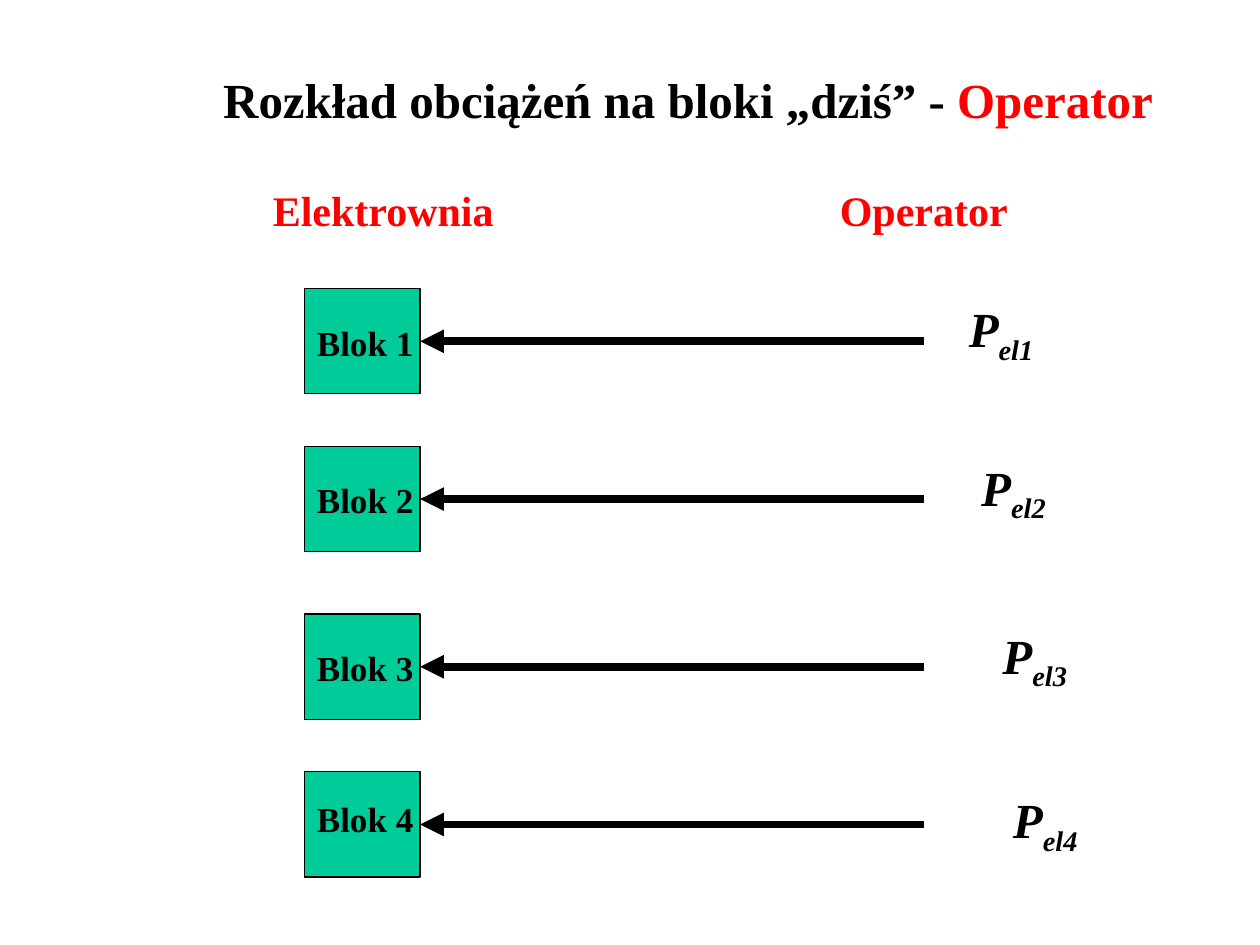
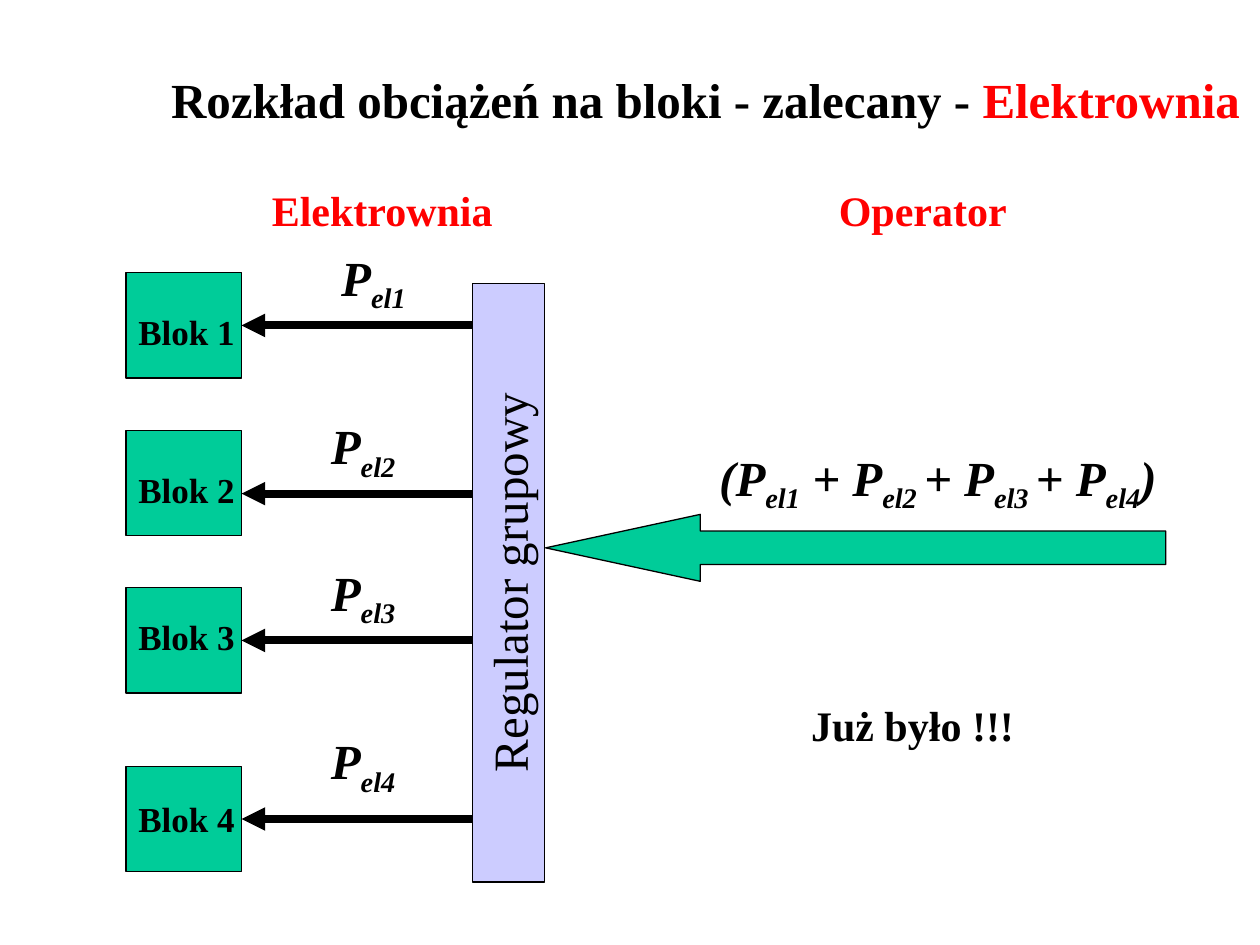
"""Build two slides on how load is shared among power plant units."""
from dataclasses import dataclass

from lxml.etree import SubElement
from pptx import Presentation
from pptx.dml.color import RGBColor
from pptx.enum.shapes import MSO_CONNECTOR as Connector, MSO_SHAPE as Shape
from pptx.enum.text import MSO_ANCHOR as Anchor, MSO_AUTO_SIZE as AutoSize, PP_ALIGN as Align
from pptx.oxml.ns import qn
from pptx.util import Cm, Pt


@dataclass(frozen=True)
class Theme:
    font: str = "Times New Roman"
    ink: str = "000000"
    accent: str = "FF0000"
    block: str = "00CC99"
    regulator: str = "CCCCFF"
    title_size: int = 28
    heading_size: int = 24
    label_size: int = 20
    outline: float = 0.75
    arrow: float = 4.5


class SlideBuilder:
    def __init__(self, presentation, theme):
        self.presentation = presentation
        self.theme = theme
        self.slide = None

    def new_slide(self):
        self.slide = self.presentation.slides.add_slide(self.presentation.slide_layouts[6])

    def add_run(self, paragraph, text, size, color=None, baseline=0, **formats):
        run = paragraph.add_run()
        run.text = text
        for name, value in {"name": self.theme.font, "size": Pt(size), "bold": True, **formats}.items():
            setattr(run.font, name, value)
        run.font.color.rgb = RGBColor.from_string(color or self.theme.ink)
        if baseline:
            run.font._element.set("baseline", str(baseline))

    def text(self, left, top, width, height, size, *runs):
        box = self.slide.shapes.add_textbox(Cm(left), Cm(top), Cm(width), Cm(height))
        frame = box.text_frame
        for name, value in {"word_wrap": False, "auto_size": AutoSize.SHAPE_TO_FIT_TEXT}.items():
            setattr(frame, name, value)
        for text, formats in runs:
            self.add_run(frame.paragraphs[0], text, size, **formats)

    def title(self, left, width, subject, party):
        self.text(left, 1.27, width, 1.45, self.theme.title_size,
                  (subject, {}), (party, {"color": self.theme.accent}))

    def headings(self, left):
        for offset, width, party in ((0, 4.98, "Elektrownia"), (11.43, 3.89, "Operator")):
            self.text(left + offset, 3.6, width, 1.27, self.theme.heading_size,
                      (party, {"color": self.theme.accent}))

    def formula(self, left, top, width, *parts):
        runs = [(part, {"italic": True, "baseline": -25000 * (index % 2)})
                for index, part in enumerate(parts)]
        self.text(left, top, width, 1.6, self.theme.title_size, *runs)

    def shape(self, kind, left, top, width, height, fill):
        shape = self.slide.shapes.add_shape(kind, Cm(left), Cm(top), Cm(width), Cm(height))
        shape.shadow.inherit = False
        shape.fill.solid()
        shape.fill.fore_color.rgb = RGBColor.from_string(fill)
        shape.line.color.rgb = RGBColor.from_string(self.theme.ink)
        shape.line.width = Pt(self.theme.outline)
        return shape

    def arrow(self, block, start, drop=0):
        middle = block.top + block.height // 2 + Cm(drop)
        connector = self.slide.shapes.add_connector(
            Connector.STRAIGHT, block.left + block.width, middle, Cm(start), middle)
        if not drop:
            connector.begin_connect(block, 3)
        connector.line.color.rgb = RGBColor.from_string(self.theme.ink)
        connector.line.width = Pt(self.theme.arrow)
        SubElement(connector.line._get_or_add_ln(), qn("a:headEnd"), type="triangle")
        SubElement(connector._element.spPr, qn("a:effectLst"))

    def unit(self, number, left, top, label_top, start, power_left, power_top, drop=0):
        block = self.shape(Shape.RECTANGLE, left, top, 2.33, 2.12, self.theme.block)
        self.arrow(block, start, drop)
        self.formula(power_left, power_top, 1.85, "P", f"el{number}")
        self.text(left, label_top, 2.48, 1.11, self.theme.label_size, (f"Blok {number}", {}))

    def regulator(self, left, top, length, thickness, text):
        shape = self.shape(Shape.RECTANGLE, left + (thickness - length) / 2,
                           top + (length - thickness) / 2, length, thickness, self.theme.regulator)
        shape.rotation = 270
        frame = shape.text_frame
        for name, value in {"word_wrap": True, "vertical_anchor": Anchor.TOP}.items():
            setattr(frame, name, value)
        paragraph = frame.paragraphs[0]
        paragraph.alignment = Align.CENTER
        self.add_run(paragraph, text, self.theme.title_size, bold=False)

    def wide_arrow(self, left, top, width, height):
        shape = self.shape(Shape.LEFT_ARROW, left, top, width, height, self.theme.block)
        shape.adjustments[0] = 0.5
        shape.adjustments[1] = 2.31


def operator_slide(builder):
    builder.new_slide()
    builder.title(4.25, 19.25, "Rozkład obciążeń na bloki „dziś” - ", "Operator")
    builder.headings(5.25)
    units = ((5.82, 6.35, 19.28, 5.9), (9.0, 9.53, 19.53, 9.09),
             (12.38, 12.91, 19.96, 12.49), (15.56, 15.96, 20.17, 15.8))
    for number, (top, label_top, power_left, power_top) in enumerate(units, 1):
        builder.unit(number, 6.14, top, label_top, 18.63, power_left, power_top)


def plant_slide(builder):
    builder.new_slide()
    builder.title(3.2, 22.07, "Rozkład obciążeń na bloki - zalecany - ", "Elektrownia")
    builder.headings(5.23)
    units = ((5.5, 6.14, 6.63, 4.87, 0), (8.68, 9.31, 6.42, 8.26, 0.21),
             (11.85, 12.28, 6.42, 11.22, 0), (15.45, 15.96, 6.42, 14.61, 0))
    for number, (top, label_top, power_left, power_top, drop) in enumerate(units, 1):
        builder.unit(number, 2.54, top, label_top, 9.53, power_left, power_top, drop)
    builder.regulator(9.53, 5.71, 12.07, 1.45, "Regulator grupowy")
    builder.wide_arrow(11, 10.37, 12.5, 1.35)
    builder.formula(14.25, 8.89, 9.47, "(P", "el1", " + P", "el2 ", "+ P", "el3 ", "+ P", "el4", ")")
    builder.text(16.1, 13.97, 4.6, 1.27, builder.theme.heading_size, ("Już było !!!", {}))


def main():
    presentation = Presentation()
    presentation.slide_width, presentation.slide_height = Cm(25.4), Cm(19.05)
    builder = SlideBuilder(presentation, Theme())
    operator_slide(builder)
    plant_slide(builder)
    presentation.save("out.pptx")


if __name__ == "__main__":
    main()
